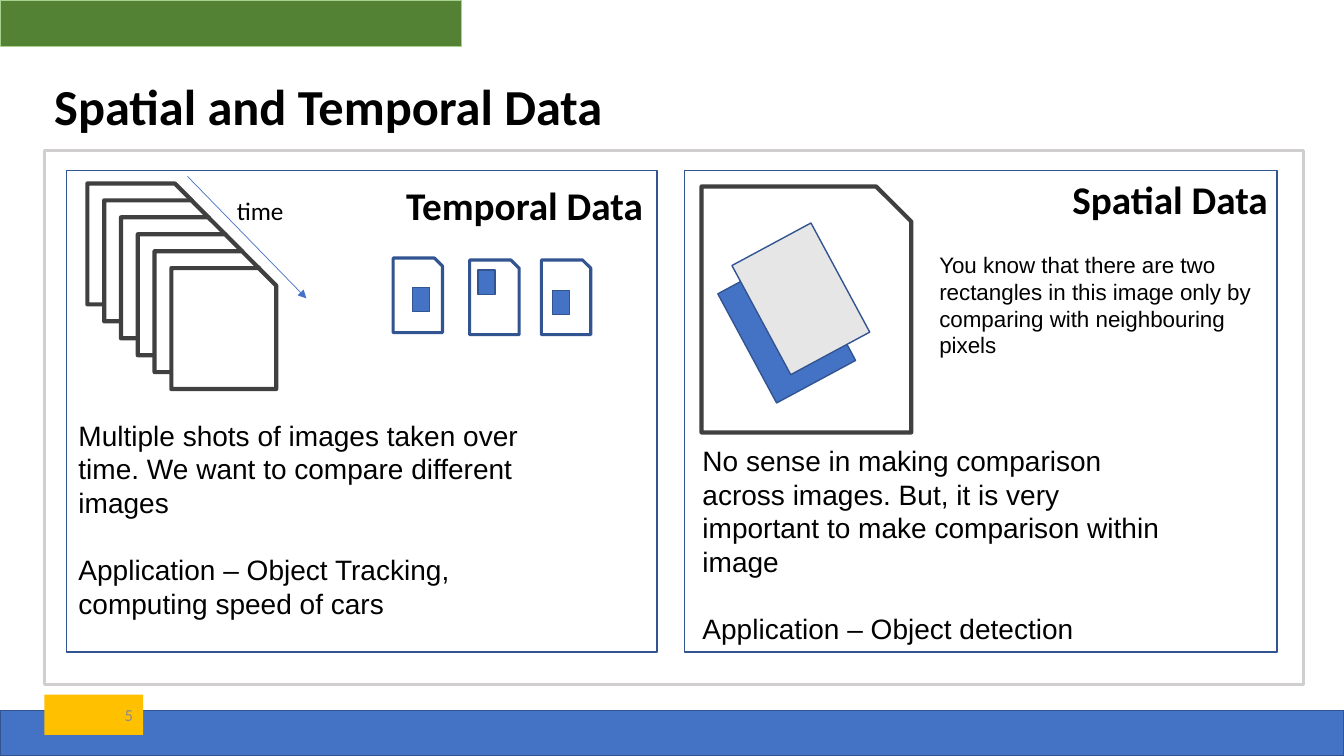
import pptx
import pptx.util
import pptx.dml.color
import pptx.enum.shapes
import pptx.enum.text
import pptx.oxml.ns
from lxml import etree

RGB = pptx.dml.color.RGBColor
BLACK = RGB(0x00, 0x00, 0x00)
WHITE = RGB(0xFF, 0xFF, 0xFF)
BLUE = RGB(0x44, 0x72, 0xC4)
NAVY = RGB(0x32, 0x54, 0x91)
GREEN = RGB(0x54, 0x82, 0x35)
LIGHT_GREEN = RGB(0xA9, 0xD1, 0x8E)
AMBER = RGB(0xFF, 0xC0, 0x00)
SILVER = RGB(0xD0, 0xCE, 0xCE)
PALE = RGB(0xE7, 0xE6, 0xE6)
CHARCOAL = RGB(0x40, 0x40, 0x40)
GRAY = RGB(0x8C, 0x8C, 0x8C)

RECT = pptx.enum.shapes.MSO_SHAPE.RECTANGLE
SNIP = pptx.enum.shapes.MSO_SHAPE.SNIP_1_RECTANGLE
MIDDLE = pptx.enum.text.MSO_ANCHOR.MIDDLE
RIGHT = pptx.enum.text.PP_ALIGN.RIGHT

prs = pptx.Presentation()
prs.slide_width = pptx.util.Inches(13.33)
prs.slide_height = pptx.util.Inches(7.5)
s = prs.slides.add_slide(prs.slide_layouts[6])

# Grid of 100 columns by 100 rows over the slide
COL = prs.slide_width / 100
ROW = prs.slide_height / 100


def shape(kind, x, y, w, h, fill=None, line=None, width=1):
    sp = s.shapes.add_shape(kind, *map(int, (x * COL, y * ROW, w * COL, h * ROW)))
    sp.shadow.inherit = False
    if fill is None:
        sp.fill.background()
    else:
        sp.fill.solid()
        sp.fill.fore_color.rgb = fill
    if line is None:
        sp.line.fill.background()
    else:
        sp.line.color.rgb = line
        sp.line.width = pptx.util.Pt(width)
    return sp


def text(x, y, w, h, paragraphs, color=BLACK, gap=0, align=None, anchor=None, **font):
    sp = s.shapes.add_textbox(*map(int, (x * COL, y * ROW, w * COL, h * ROW)))
    tf = sp.text_frame
    tf.word_wrap = True
    tf.vertical_anchor = anchor
    for i, words in enumerate(paragraphs):
        p = tf.add_paragraph() if i else tf.paragraphs[0]
        p.alignment = align
        if i:
            p.space_before = pptx.util.Pt(gap)
        r = p.add_run()
        r.text = words
        r.font.color.rgb = color
        for name, value in font.items():
            setattr(r.font, name, value)


TITLE = dict(name="Calibri", size=pptx.util.Pt(36), bold=True)
HEADING = dict(name="Calibri", size=pptx.util.Pt(28), bold=True)
LABEL = dict(name="Calibri", size=pptx.util.Pt(18))
NUMBER = dict(name="Calibri", size=pptx.util.Pt(12))
BODY = dict(name="Arial", size=pptx.util.Pt(20))
NOTE = dict(name="Arial", size=pptx.util.Pt(16))

# Slide furniture
shape(RECT, 0, 94, 100, 6, BLUE, NAVY)
shape(RECT, 3.3, 19.87, 93.68, 70.67, None, SILVER, 2.25)
shape(RECT, 0, 0, 34.35, 6.13, GREEN, LIGHT_GREEN)
text(3.3, 7.87, 93.68, 12.13, ["Spatial and Temporal Data"], anchor=MIDDLE, **TITLE)
shape(RECT, 3.3, 91.87, 7.35, 5.33, AMBER)
text(3.3, 91.87, 7.35, 5.33, ["5"], GRAY, align=RIGHT, anchor=MIDDLE, **NUMBER)

# Two panels with heading and body text
panels = [
    (4.95, 43.95, (29.48, 23.33), "Temporal Data", (5.1, 54.67),
     ["Multiple shots of images taken over time. We want to compare different images",
      "Application – Object Tracking, computing speed of cars"]),
    (50.93, 44.1, (79.05, 22.53), "Spatial Data", (51.53, 58),
     ["No sense in making comparison across images. But, it is very important to make "
      "comparison within image",
      "Application – Object detection"]),
]
for x, w, heading_at, heading, body_at, body in panels:
    shape(RECT, x, 22.53, w, 63.73, WHITE, NAVY)
    text(*heading_at, 19.58, 7.6, [heading], **HEADING)
    text(*body_at, 37.28, 28.27, body, gap=24, **BODY)

# Temporal: stack of images along a time arrow
for i in range(6):
    shape(SNIP, 6.5 + 1.25 * i, 24.27 + 2.24 * i, 7.8, 16, WHITE, CHARCOAL, 3)
arrow = s.shapes.add_connector(
    pptx.enum.shapes.MSO_CONNECTOR.STRAIGHT,
    *map(int, (13.95 * COL, 23.33 * ROW, 22.8 * COL, 39.47 * ROW)))
arrow.line.color.rgb = BLUE
arrow.line.width = pptx.util.Pt(0.5)
qn = pptx.oxml.ns.qn
etree.SubElement(arrow.line._get_or_add_ln(), qn("a:tailEnd"), type="triangle")
etree.SubElement(arrow._element.spPr, qn("a:effectLst"))
text(16.88, 25.2, 5.85, 5.33, ["time"], **LABEL)

# Temporal: an object that moves from frame to frame
for frame, mark in [((29.25, 34.13), (30.68, 38)),
                    ((34.95, 34.4), (35.55, 35.73)),
                    ((40.28, 34.4), (41.1, 38.4))]:
    shape(SNIP, *frame, 3.68, 9.87, None, NAVY, 2.25)
    shape(RECT, *mark, 1.28, 3.2, BLUE, NAVY)

# Spatial: one image with two overlapping rectangles
shape(SNIP, 52.2, 24.67, 15.6, 32.53, WHITE, CHARCOAL, 3)
for x, y, fill in [(55.2, 35.07, BLUE), (56.25, 31.33, PALE)]:
    shape(RECT, x, y, 6.68, 16.4, fill, NAVY).rotation = 331.7
text(69.15, 32.53, 24.75, 15.73,
     ["You know that there are two rectangles in this image only by comparing with "
      "neighbouring pixels"], **NOTE)

prs.save("out.pptx")
